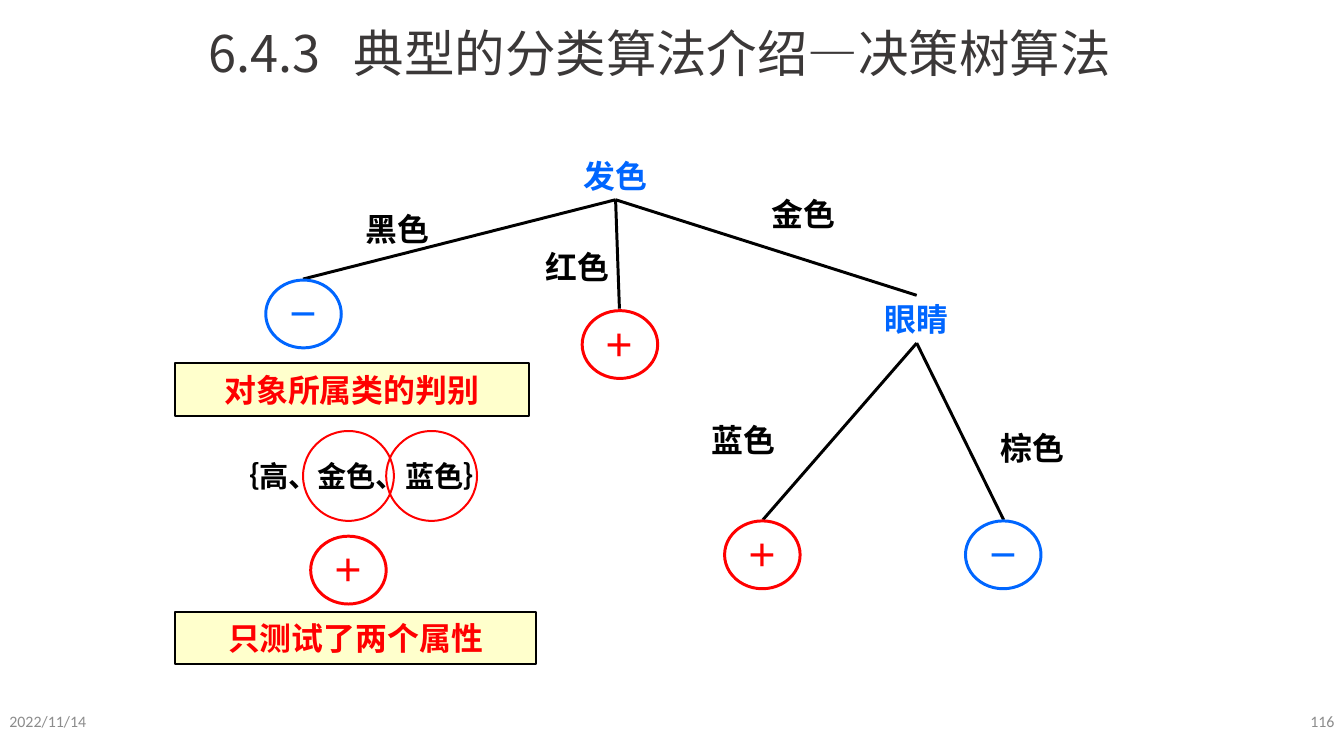
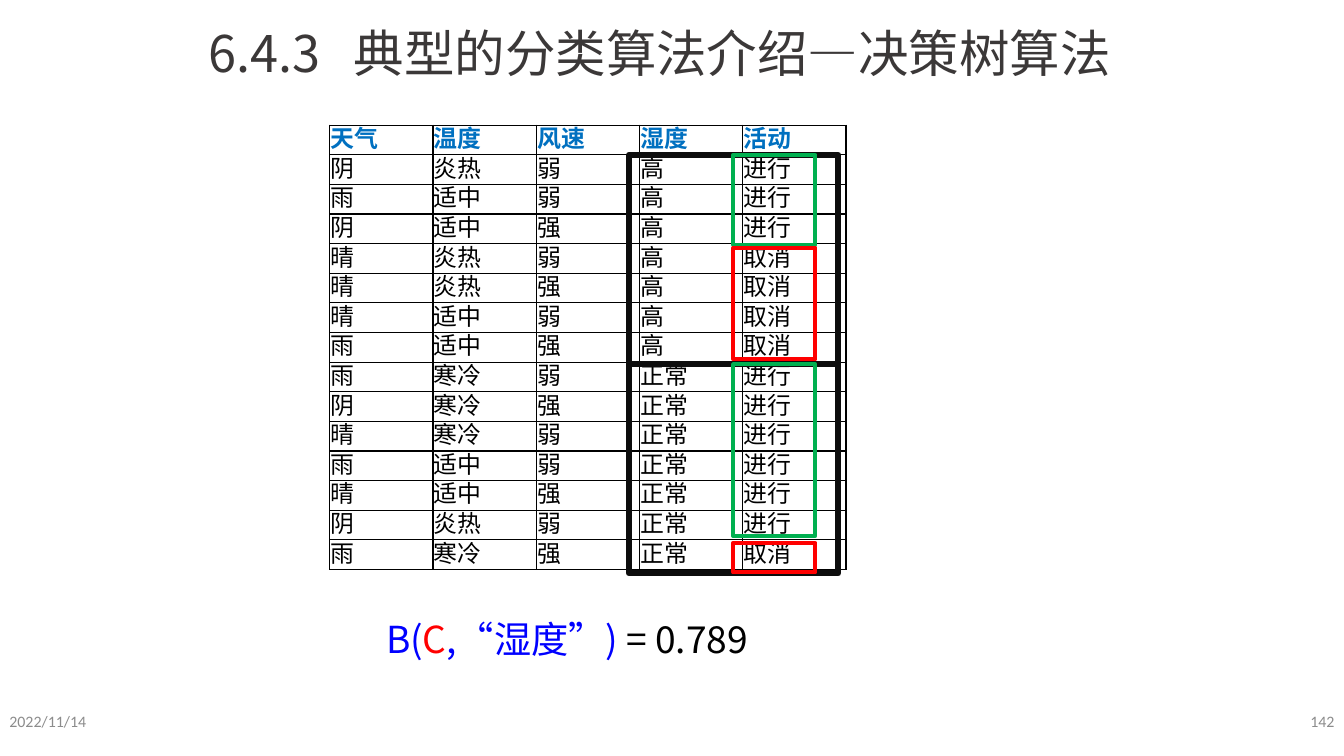
from lxml.etree import SubElement
from pptx import Presentation
from pptx.dml.color import RGBColor
from pptx.enum.shapes import MSO_CONNECTOR, MSO_SHAPE
from pptx.enum.text import MSO_ANCHOR, PP_ALIGN
from pptx.oxml.ns import qn
from pptx.util import Inches, Pt

COLORS = {
    "black": "000000", "frame": "0D0D0D", "title": "3B3838", "footer": "8C8C8C",
    "sky": "0066FF", "red": "FF0000", "green": "00B050", "header": "0070C0",
    "formula": "0000FF", "cream": "FFFFCC",
}
CJK_FONT = "Noto Sans CJK SC"
TITLE = "6.4.3\t典型的分类算法介绍—决策树算法"
DATE = "2022/11/14"


def add_runs(paragraph, runs, size, font=CJK_FONT, bold=False):
    for text, color in runs:
        run = paragraph.add_run()
        run.text = text
        run.font.size = Pt(size)
        run.font.bold = bold
        run.font.name = font
        run.font.color.rgb = RGBColor.from_string(COLORS[color])
        SubElement(run.font._element, qn("a:ea"), typeface=CJK_FONT)


def add_box(slide, box, runs=(), size=24, font=CJK_FONT, bold=False,
            align=PP_ALIGN.CENTER, anchor=MSO_ANCHOR.MIDDLE,
            kind=None, fill=None, line=None, width=1.5):
    place = [Inches(value) for value in box]
    if kind is None:
        shape = slide.shapes.add_textbox(*place)
    else:
        shape = slide.shapes.add_shape(kind, *place)
        shape.shadow.inherit = False
        shape.line.color.rgb = RGBColor.from_string(COLORS[line])
        shape.line.width = Pt(width)
        if fill:
            shape.fill.solid()
            shape.fill.fore_color.rgb = RGBColor.from_string(COLORS[fill])
        else:
            shape.fill.background()
        shape.text_frame.margin_left = shape.text_frame.margin_right = 0
    if runs:
        frame = shape.text_frame
        frame.word_wrap = True
        frame.vertical_anchor = anchor
        frame.paragraphs[0].alignment = align
        add_runs(frame.paragraphs[0], runs, size, font, bold)


presentation = Presentation()
presentation.slide_width = Inches(14.06)
presentation.slide_height = Inches(7.91)

# Title, date and page number of both slides
slides = []
for page in ("116", "142"):
    slide = presentation.slides.add_slide(presentation.slide_layouts[5])
    title = slide.shapes.title
    title.left, title.top = Inches(2.08), Inches(0.17)
    title.width, title.height = Inches(9.76), Inches(0.75)
    title.text_frame.vertical_anchor = MSO_ANCHOR.MIDDLE
    paragraph = title.text_frame.paragraphs[0]
    paragraph.alignment = PP_ALIGN.LEFT
    tabs = SubElement(paragraph._p.get_or_add_pPr(), qn("a:tabLst"))
    SubElement(tabs, qn("a:tab"), pos=str(Inches(1.52)), algn="l")
    add_runs(paragraph, [(TITLE, "title")], 38)
    for left, text, align in ((0, DATE, PP_ALIGN.LEFT), (10.9, page, PP_ALIGN.RIGHT)):
        add_box(slide, (left, 7.33, 3.16, 0.42), [(text, "footer")], 12, "Calibri", align=align)
    slides.append(slide)
tree_slide, table_slide = slides

# Tree branches
root, eyes = (6.44, 2.09), (9.59, 3.59)
branches = [
    (root, (3.17, 2.92)), (root, (6.48, 3.23)), (root, (9.59, 3.09)),
    (eyes, (7.98, 5.44)), (eyes, (10.5, 5.44)),
]
for start, end in branches:
    connector = tree_slide.shapes.add_connector(
        MSO_CONNECTOR.STRAIGHT, *[Inches(value) for value in start + end])
    connector.line.color.rgb = RGBColor.from_string(COLORS["black"])
    connector.line.width = Pt(2.25)
    SubElement(connector._element.spPr, qn("a:effectLst"))

# Attributes and branch values
labels = [
    ("发色", 5.61, 1.59, "sky"), ("眼睛", 8.76, 3.09, "sky"),
    ("黑色", 3.33, 2.14, "black"), ("红色", 5.22, 2.54, "black"),
    ("金色", 7.58, 1.99, "black"), ("蓝色", 6.95, 4.35, "black"),
    ("棕色", 9.98, 4.43, "black"),
]
for text, left, top, color in labels:
    add_box(tree_slide, (left, top, 1.65, 0.5), [(text, color)], font="Arial", bold=True)

# Notes with the tested example
for text, top, width in (("对象所属类的判别", 3.8, 3.7), ("只测试了两个属性", 6.4, 3.78)):
    add_box(tree_slide, (1.83, top, width, 0.55), [(text, "red")], font="Calibri", bold=True,
            kind=MSO_SHAPE.RECTANGLE, fill="cream", line="black")
add_box(tree_slide, (1.99, 4.74, 3.58, 0.47), [("｛高、金色、蓝色｝", "black")], 22, bold=True)
for left in (3.17, 4.04):
    add_box(tree_slide, (left, 4.51, 0.95, 0.94), kind=MSO_SHAPE.OVAL, line="red")

# Class leaves
leaves = [
    ("－", 2.78, 2.93), ("＋", 6.09, 3.25), ("＋", 7.58, 5.45),
    ("－", 10.1, 5.45), ("＋", 3.25, 5.61),
]
for sign, left, top in leaves:
    color = "red" if sign == "＋" else "sky"
    add_box(tree_slide, (left, top, 0.79, 0.71), [(sign, color)], font="Calibri", bold=True,
            kind=MSO_SHAPE.OVAL, line=color, width=2.25)

# Weather table
records = [row.split() for row in (
    "天气 温度 风速 湿度 活动",
    "阴 炎热 弱 高 进行",
    "雨 适中 弱 高 进行",
    "阴 适中 强 高 进行",
    "晴 炎热 弱 高 取消",
    "晴 炎热 强 高 取消",
    "晴 适中 弱 高 取消",
    "雨 适中 强 高 取消",
    "雨 寒冷 弱 正常 进行",
    "阴 寒冷 强 正常 进行",
    "晴 寒冷 弱 正常 进行",
    "雨 适中 弱 正常 进行",
    "晴 适中 强 正常 进行",
    "阴 炎热 弱 正常 进行",
    "雨 寒冷 强 正常 取消",
)]
row_count, column_count = len(records), len(records[0])
table = table_slide.shapes.add_table(
    row_count, column_count, Inches(3.45), Inches(1.31),
    Inches(1.08 * column_count), Inches(0.31 * row_count)).table
for column in table.columns:
    column.width = Inches(1.08)
for row_index, record in enumerate(records):
    table.rows[row_index].height = Inches(0.31)
    for column_index, text in enumerate(record):
        cell = table.cell(row_index, column_index)
        cell.margin_left = cell.margin_right = cell.margin_top = Inches(0.01)
        cell.margin_bottom = 0
        cell.vertical_anchor = MSO_ANCHOR.MIDDLE
        properties = cell._tc.get_or_add_tcPr()
        for side in ("a:lnL", "a:lnR", "a:lnT", "a:lnB"):
            border = SubElement(properties, qn(side), w=str(Pt(1)))
            solid = SubElement(border, qn("a:solidFill"))
            SubElement(solid, qn("a:srgbClr"), val=COLORS["black"])
        cell.fill.background()
        paragraph = cell.text_frame.paragraphs[0]
        paragraph.line_spacing = Pt(21)
        is_header = row_index == 0
        add_runs(paragraph, [(text, "header" if is_header else "black")], 18, bold=is_header)

# Frames around the humidity groups and their outcomes
frames = [
    (6.58, 1.62, 2.19, 2.19, "frame", 4.5), (6.58, 3.81, 2.19, 2.19, "frame", 4.5),
    (7.67, 1.62, 0.86, 0.94, "green", 3), (7.67, 3.81, 0.86, 1.8, "green", 3),
    (7.67, 2.59, 0.86, 1.17, "red", 3), (7.67, 5.68, 0.86, 0.31, "red", 3),
]
for *box, color, width in frames:
    add_box(table_slide, box, kind=MSO_SHAPE.RECTANGLE, line=color, width=width)

# Result
formula = [("B(", "formula"), ("C", "red"), (",“湿度”) ", "formula"), ("= 0.789", "black")]
add_box(table_slide, (3.94, 6.4, 4.43, 0.57), formula, 28, align=PP_ALIGN.LEFT)

presentation.save("out.pptx")
